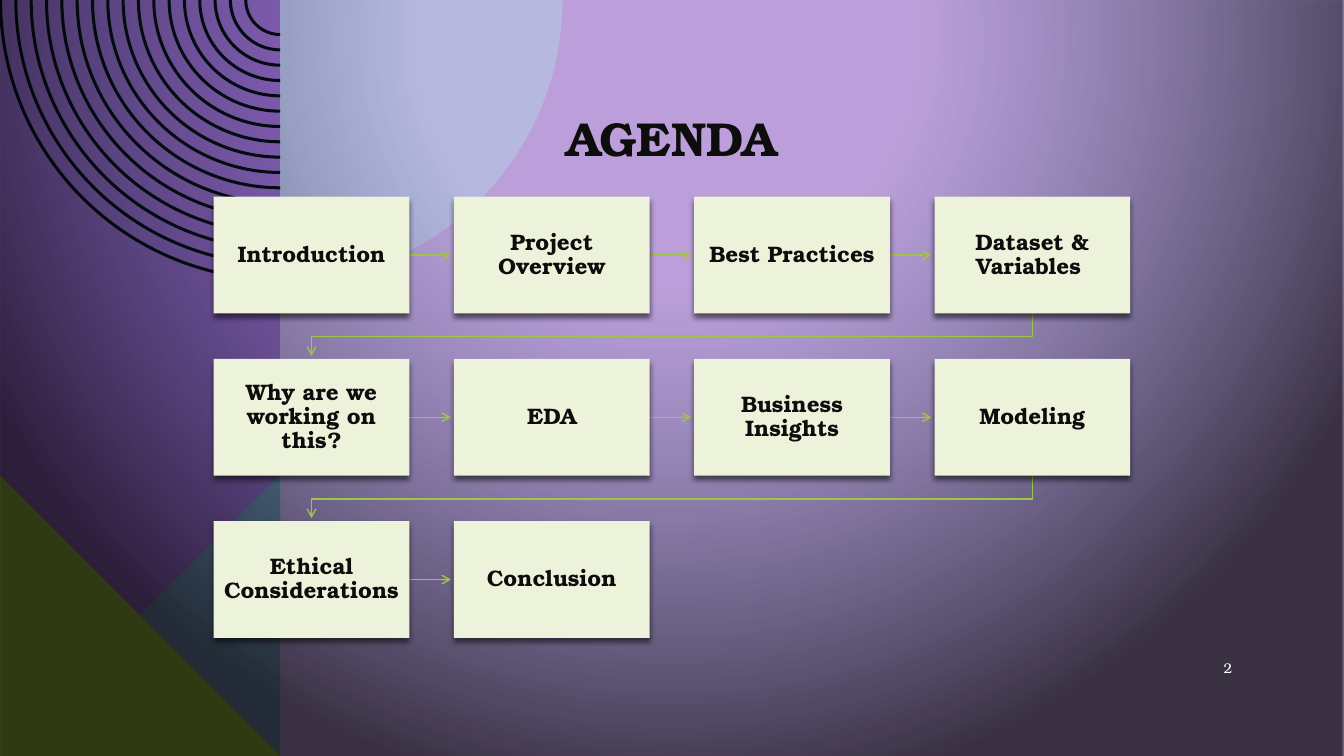
from lxml.etree import SubElement
from pptx import Presentation
from pptx.dml.color import RGBColor
from pptx.enum.shapes import MSO_CONNECTOR, MSO_SHAPE
from pptx.enum.text import MSO_ANCHOR, PP_ALIGN
from pptx.oxml import parse_xml
from pptx.oxml.ns import nsdecls, qn
from pptx.util import Inches, Pt

FONT = "TeX Gyre Bonum"
INK, LIME, CARD = "0D0D0D", "9EC544", "ECF3DA"
PANEL_W, SLIDE_W, SLIDE_H = 2.78, 13.33, 7.5
LEFT, TOP, CARD_W, CARD_H = 2.12, 1.95, 1.94, 1.16
COL_STEP, ROW_STEP, COLUMNS = 2.383, 1.61, 4
ARROW_GAP = 0.03
RING_COUNT, RING_STEP, RING_THICKNESS = 17, 0.152, 0.03
TOPICS = [
    "Introduction", "Project Overview", "Best Practices", "Dataset & Variables ",
    "Why are we working on this?", "EDA", "Business Insights", "Modeling",
    "Ethical Considerations", "Conclusion",
]


def color(value):
    return RGBColor.from_string(value)


def fill_shape(sp, value, alpha=None):
    sp.shadow.inherit = False
    sp.line.fill.background()
    sp.fill.solid()
    sp.fill.fore_color.rgb = color(value)
    if alpha is not None:
        clr = sp._element.spPr.find(qn("a:solidFill"))[0]
        SubElement(clr, qn("a:alpha"), val=str(alpha * 1000))


def add_outline(slide, contours, closed=True):
    scaled = [[(Inches(x), Inches(y)) for x, y in pts] for pts in contours]
    builder = slide.shapes.build_freeform(*scaled[0][0], scale=1.0)
    builder.add_line_segments(scaled[0][1:], close=closed)
    for pts in scaled[1:]:
        builder.move_to(*pts[0])
        builder.add_line_segments(pts[1:], close=closed)
    return builder.convert_to_shape()


def curve_segments(sp, arcs):
    segments = list(sp._element.iter(qn("a:lnTo")))
    for index, (radius, start, sweep) in arcs.items():
        size = str(Inches(radius))
        arc = segments[index].makeelement(
            qn("a:arcTo"), wR=size, hR=size,
            stAng=str(start * 60000), swAng=str(sweep * 60000))
        segments[index].getparent().replace(segments[index], arc)


def add_rings(slide):
    contours, arcs = [], {}
    for i in range(RING_COUNT):
        outer = 2.79 - i * RING_STEP
        inner = outer - RING_THICKNESS
        contours.append([(PANEL_W - outer, 0), (PANEL_W, outer),
                         (PANEL_W, inner), (PANEL_W - inner, 0)])
        arcs[3 * i] = (outer, 180, -90)
        arcs[3 * i + 2] = (inner, 90, 90)
    sp = add_outline(slide, contours)
    curve_segments(sp, arcs)
    fill_shape(sp, "000000")


def add_quarter_disc(slide, radius):
    sp = add_outline(slide, [[(PANEL_W, 0), (PANEL_W + radius, 0), (PANEL_W, radius)]])
    curve_segments(sp, {1: (radius, 0, 90)})
    fill_shape(sp, "B7D7EB", 50)


def write(sp, text, size, bold=False, ink=INK, align=PP_ALIGN.CENTER,
          spacing=0.9, insets=(0.1, 0.05)):
    tf = sp.text_frame
    tf.word_wrap = True
    tf.vertical_anchor = MSO_ANCHOR.MIDDLE
    tf.margin_left = tf.margin_right = Inches(insets[0])
    tf.margin_top = tf.margin_bottom = Inches(insets[1])
    p = tf.paragraphs[0]
    p.alignment = align
    p.line_spacing = spacing
    r = p.add_run()
    r.text = text
    r.font.name = FONT
    r.font.size = Pt(size)
    r.font.bold = bold
    r.font.color.rgb = color(ink)


def style_arrow(sp):
    sp.line.color.rgb = color(LIME)
    sp.line.width = Pt(1)
    SubElement(sp._element.spPr.find(qn("a:ln")), qn("a:tailEnd"), type="arrow")


def add_arrow(slide, x1, x2, y):
    cxn = slide.shapes.add_connector(
        MSO_CONNECTOR.STRAIGHT, Inches(x1), Inches(y), Inches(x2), Inches(y))
    style_arrow(cxn)
    SubElement(cxn._element.spPr, qn("a:effectLst"))


def add_return_arrow(slide, x1, x2, y1, y2):
    bend = y1 + 0.23
    sp = add_outline(slide, [[(x1, y1), (x1, bend), (x2, bend), (x2, y2)]], closed=False)
    sp.fill.background()
    style_arrow(sp)
    sp.shadow.inherit = False


def add_card(slide, x, y, text):
    sp = slide.shapes.add_shape(
        MSO_SHAPE.RECTANGLE, Inches(x), Inches(y), Inches(CARD_W), Inches(CARD_H))
    fill_shape(sp, CARD)
    effects = sp._element.spPr.find(qn("a:effectLst"))
    shadow = SubElement(effects, qn("a:outerShdw"), blurRad=str(Pt(4)), dist=str(Pt(3)),
                        dir="5400000", rotWithShape="0")
    clr = SubElement(shadow, qn("a:srgbClr"), val="000000")
    SubElement(clr, qn("a:alpha"), val="54000")
    write(sp, text, 16, bold=True, insets=(0.09, 0.1))


def add_vignette(slide):
    sp = slide.shapes.add_shape(MSO_SHAPE.RECTANGLE, 0, 0, Inches(SLIDE_W), Inches(SLIDE_H))
    fill_shape(sp, "000000")
    solid = sp._element.spPr.find(qn("a:solidFill"))
    stops = "".join(
        f'<a:gs pos="{pos}000"><a:srgbClr val="{value}"><a:alpha val="{alpha}000"/></a:srgbClr></a:gs>'
        for pos, value, alpha in [(32, "1F445F", 3), (100, "000000", 70)])
    grad = parse_xml(
        f'<a:gradFill {nsdecls("a")} rotWithShape="1"><a:gsLst>{stops}</a:gsLst>'
        '<a:path path="circle"><a:fillToRect l="50000" t="5000" r="50000" b="95000"/>'
        '</a:path></a:gradFill>')
    solid.getparent().replace(solid, grad)


def add_backdrop(slide):
    slide.background.fill.solid()
    slide.background.fill.fore_color.rgb = color("C2A3DF")
    corner = SLIDE_H - 2.79
    panel = [(-0.01, 0), (PANEL_W, 0), (PANEL_W, SLIDE_H), (-0.01, SLIDE_H)]
    teal = [(PANEL_W, corner), (PANEL_W, SLIDE_H), (-0.01, SLIDE_H)]
    green = [(-0.01, corner), (PANEL_W, SLIDE_H), (-0.01, SLIDE_H)]
    fill_shape(add_outline(slide, [panel]), "9A66CA")
    add_rings(slide)
    fill_shape(add_outline(slide, [teal]), "50BEA3", 50)
    fill_shape(add_outline(slide, [green]), LIME)
    add_quarter_disc(slide, 2.8)
    add_vignette(slide)


def add_title(slide, text):
    title = slide.shapes.title
    title.left, title.top = Inches(1), Inches(0.67)
    title.width, title.height = Inches(11.32), Inches(1.45)
    slide.shapes._spTree.append(title._element)
    write(title, text, 34, bold=True)


def add_agenda(slide):
    for i, topic in enumerate(TOPICS):
        row, col = divmod(i, COLUMNS)
        x, y = LEFT + col * COL_STEP, TOP + row * ROW_STEP
        if i < len(TOPICS) - 1:
            if col < COLUMNS - 1:
                add_arrow(slide, x + CARD_W, x + COL_STEP - ARROW_GAP, y + CARD_H / 2)
            else:
                add_return_arrow(slide, x + CARD_W / 2, LEFT + CARD_W / 2,
                                 y + CARD_H, y + ROW_STEP - ARROW_GAP)
        add_card(slide, x, y, topic)


def main():
    prs = Presentation()
    prs.slide_width, prs.slide_height = Inches(SLIDE_W), Inches(SLIDE_H)
    slide = prs.slides.add_slide(prs.slide_layouts[5])
    add_backdrop(slide)
    add_title(slide, "AGENDA")
    number = slide.shapes.add_textbox(Inches(11.5), Inches(6.43), Inches(0.82), Inches(0.4))
    write(number, "2", 10, ink="FFFFFF", align=PP_ALIGN.RIGHT, spacing=1.0)
    add_agenda(slide)
    prs.save("out.pptx")


if __name__ == "__main__":
    main()
